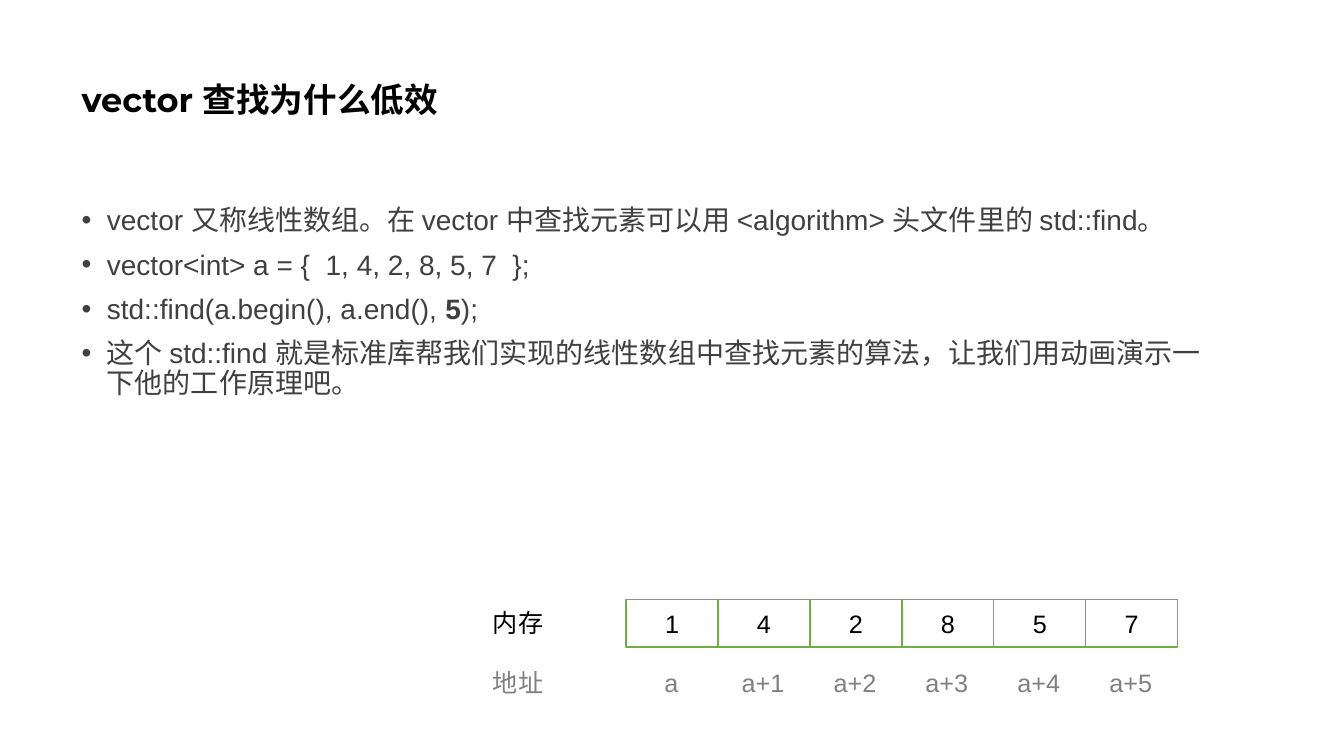
from pptx import Presentation
from pptx.dml.color import RGBColor
from pptx.enum.shapes import MSO_SHAPE
from pptx.enum.text import MSO_ANCHOR, MSO_AUTO_SIZE, PP_ALIGN
from pptx.oxml.ns import qn
from pptx.util import Inches, Pt

RECTANGLE = MSO_SHAPE.RECTANGLE
MIDDLE, TOP = MSO_ANCHOR.MIDDLE, MSO_ANCHOR.TOP
LEFT, CENTER = PP_ALIGN.LEFT, PP_ALIGN.CENTER
NO_FIT, GROW = MSO_AUTO_SIZE.NONE, MSO_AUTO_SIZE.SHAPE_TO_FIT_TEXT

# Content: each bullet is a list of (text, bold) spans
TITLE = "vector 查找为什么低效"
BULLETS = [
    [("vector 又称线性数组。在 vector 中查找元素可以用 <algorithm> 头文件里的 std::find。", False)],
    [("vector<int> a = {  1, 4, 2, 8, 5, 7  };", False)],
    [("std::find(a.begin(), a.end(), ", False), ("5", True), (");", False)],
    [("这个 std::find 就是标准库帮我们实现的线性数组中查找元素的算法，"
      "让我们用动画演示一下他的工作原理吧。", False)],
]
VALUES = [1, 4, 2, 8, 5, 7]
MEMORY_LABEL, ADDRESS_LABEL = "内存", "地址"

# Formats
BLACK, WHITE, GREEN = "000000", "FFFFFF", "70AD47"
TITLE_FONT = {"name": "Montserrat", "size": Pt(24), "bold": True}
BODY_FONT = {"name": "Arial", "size": Pt(20)}
LABEL_FONT = {"name": "Arial", "size": Pt(18)}
BODY_COLOR, ADDRESS_COLOR = "404040", "808080"

# Memory row geometry, in inches
ROW_LEFT, ROW_TOP, ROW_WIDTH, ROW_HEIGHT = 6.21, 5.95, 5.47, 0.47
CELL_WIDTH = ROW_WIDTH / len(VALUES)
LABEL_LEFT, LABEL_WIDTH, LABEL_HEIGHT = 4.79, 0.7, 0.4
MEMORY_TOP, ADDRESS_TOP = 5.98, 6.57
ADDRESS_WIDTH, FIRST_ADDRESS_WIDTH = 0.64, 0.35


def rgb(color):
    return RGBColor.from_string(color)


def apply(target, formats):
    for name, value in formats.items():
        setattr(target, name, value)


def place(shape, left, top, width, height):
    apply(shape, {"left": Inches(left), "top": Inches(top),
                  "width": Inches(width), "height": Inches(height)})


def add_span(para, text, formats, color):
    span = para.add_run()
    span.text = text
    apply(span.font, formats)
    span.font.color.rgb = rgb(color)


def add_label(page, text, left, top, width, color):
    box = page.shapes.add_textbox(Inches(left), Inches(top),
                                  Inches(width), Inches(LABEL_HEIGHT))
    apply(box.text_frame, {"word_wrap": False, "auto_size": GROW})
    add_span(box.text_frame.paragraphs[0], text, LABEL_FONT, color)


def add_cell(page, value, left):
    cell = page.shapes.add_shape(RECTANGLE, Inches(left), Inches(ROW_TOP),
                                 Inches(CELL_WIDTH), Inches(ROW_HEIGHT))
    cell.shadow.inherit = False
    cell.fill.solid()
    cell.fill.fore_color.rgb = rgb(WHITE)
    cell.line.color.rgb = rgb(GREEN)
    cell.line.width = Pt(1)
    cell.text_frame.vertical_anchor = MIDDLE
    para = cell.text_frame.paragraphs[0]
    para.alignment = CENTER
    add_span(para, str(value), LABEL_FONT, BLACK)


def main():
    deck = Presentation()
    deck.slide_width, deck.slide_height = Inches(13.33), Inches(7.5)
    page = deck.slides.add_slide(deck.slide_layouts[1])

    # Title
    title = page.shapes.title
    place(title, 0.71, 0.28, 11.5, 1.45)
    apply(title.text_frame, {"vertical_anchor": MIDDLE, "auto_size": NO_FIT})
    para = title.text_frame.paragraphs[0]
    apply(para, {"alignment": LEFT, "line_spacing": 0.9})
    add_span(para, TITLE, TITLE_FONT, BLACK)

    # Bullet list
    body = page.placeholders[1]
    place(body, 0.71, 2, 11.5, 4.76)
    frame = body.text_frame
    apply(frame, {"vertical_anchor": TOP, "auto_size": NO_FIT})
    for index, spans in enumerate(BULLETS):
        para = frame.add_paragraph() if index else frame.paragraphs[0]
        apply(para, {"line_spacing": 0.9, "space_before": Pt(10)})
        props = para._p.get_or_add_pPr()
        props.set("marL", str(Inches(0.25)))
        props.set("indent", str(Inches(-0.25)))
        props.append(props.makeelement(qn("a:buChar"), {"char": "•"}))
        for text, bold in spans:
            add_span(para, text, {**BODY_FONT, "bold": bold}, BODY_COLOR)

    # Memory cells
    for index, value in enumerate(VALUES):
        add_cell(page, value, ROW_LEFT + index * CELL_WIDTH)

    # Row labels, then addresses centred under their cells
    add_label(page, MEMORY_LABEL, LABEL_LEFT, MEMORY_TOP, LABEL_WIDTH, BLACK)
    add_label(page, ADDRESS_LABEL, LABEL_LEFT, ADDRESS_TOP, LABEL_WIDTH, ADDRESS_COLOR)
    for index in range(len(VALUES)):
        text = f"a+{index}" if index else "a"
        width = ADDRESS_WIDTH if index else FIRST_ADDRESS_WIDTH
        left = ROW_LEFT + (index + 0.5) * CELL_WIDTH - width / 2
        add_label(page, text, left, ADDRESS_TOP, width, ADDRESS_COLOR)

    deck.save("out.pptx")


if __name__ == "__main__":
    main()
